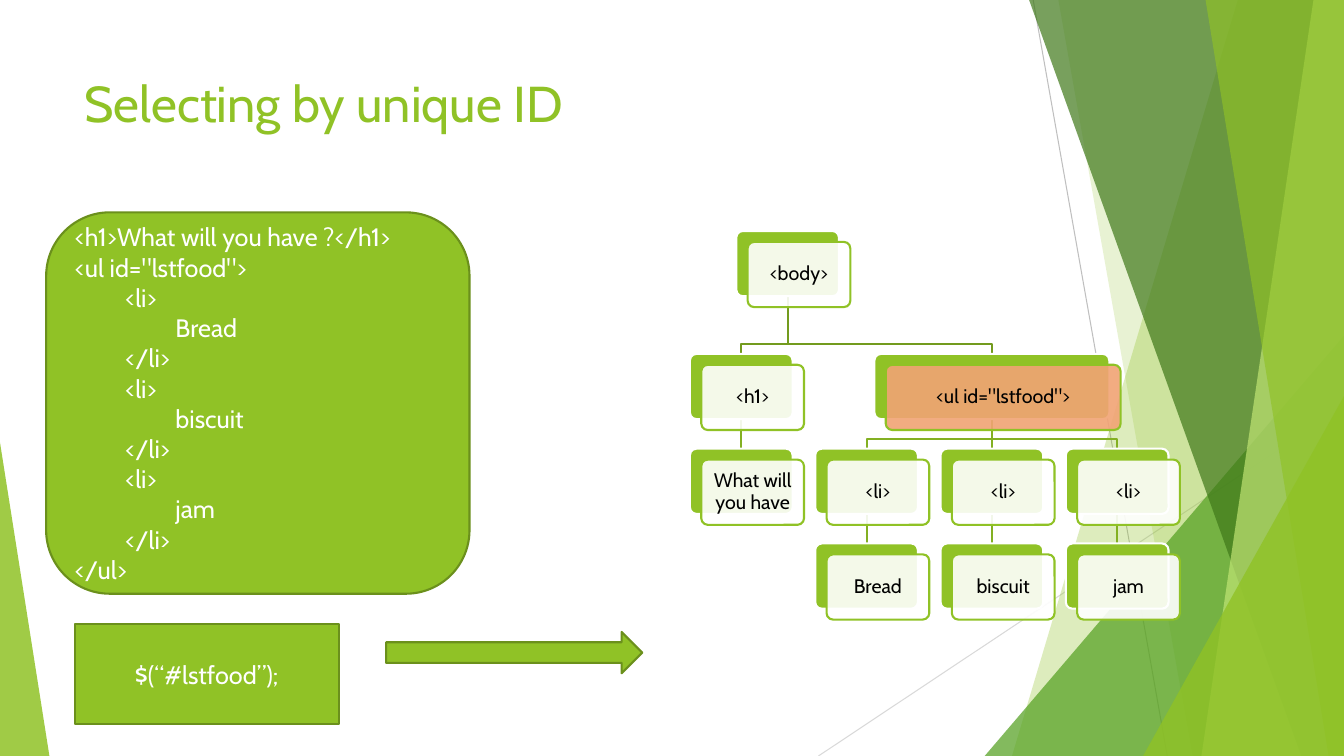
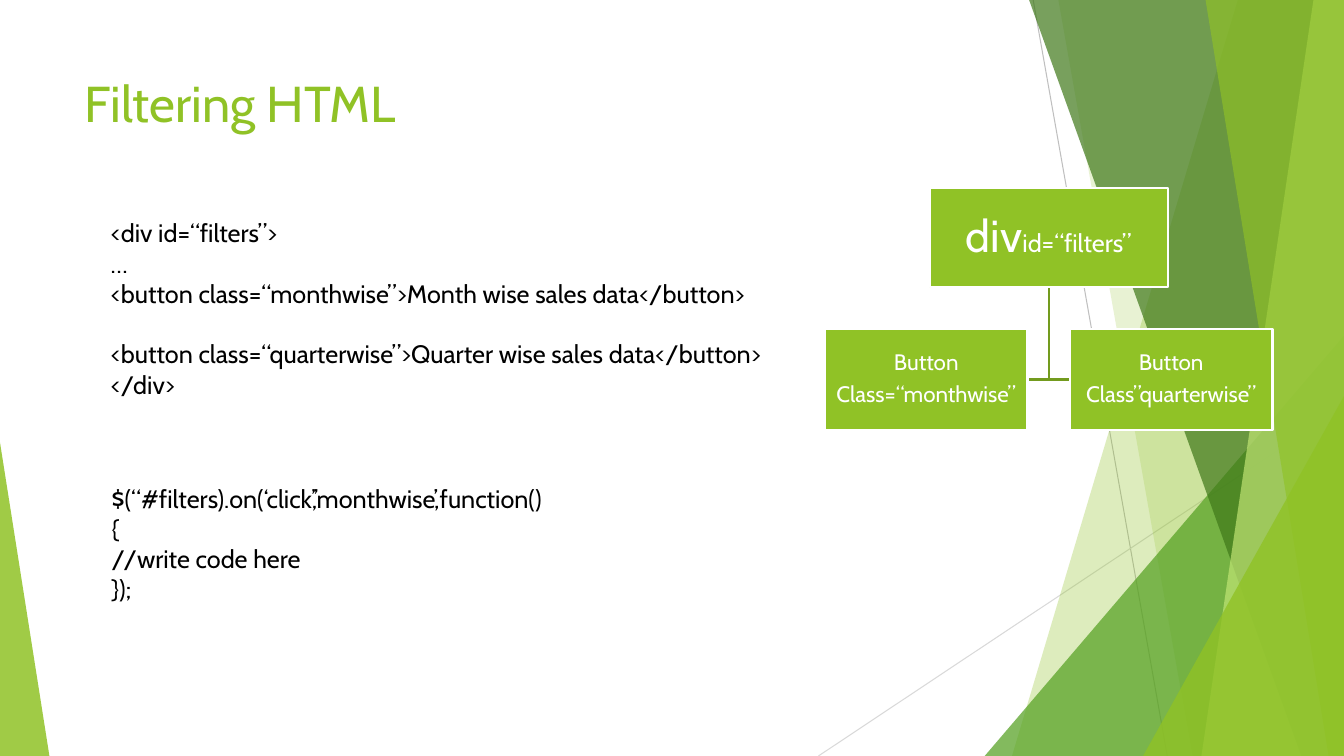
from lxml import etree
from pptx import Presentation
from pptx.dml.color import RGBColor
from pptx.enum.shapes import MSO_CONNECTOR, MSO_SHAPE
from pptx.enum.text import MSO_ANCHOR, PP_ALIGN
from pptx.oxml.ns import qn
from pptx.util import Pt

RECTANGLE, ROUNDED = MSO_SHAPE.RECTANGLE, MSO_SHAPE.ROUNDED_RECTANGLE
TRIANGLE, ARROW = MSO_SHAPE.ISOSCELES_TRIANGLE, MSO_SHAPE.RIGHT_ARROW
STRAIGHT = MSO_CONNECTOR.STRAIGHT
LEFT, CENTER = PP_ALIGN.LEFT, PP_ALIGN.CENTER
TOP, MIDDLE = MSO_ANCHOR.TOP, MSO_ANCHOR.MIDDLE

WIDTH, HEIGHT = 960, 540
FONT = "Cabin"
GREEN, DARK_GREEN, LINK, LOW_LINK = "90C226", "6B901C", "739B1E", "83B022"
WHITE, BLACK, ORANGE = "FFFFFF", "000000", "F1A374"
LINE_WIDTH, INDENT, CODE_LINE = 1.5, 36, 21.6

HAIRLINES = [((738, 0), (833.8, HEIGHT), "BFBFBF"), ((WIDTH, 290.2), (584.6, HEIGHT), "D9D9D9")]
SHARDS = [
    ("band", (884.2, 722.9), GREEN, 30),
    ("band", (756, 851.8), GREEN, 20),
    ("right", (703.4, 239.8), "54A021", 72),
    ("band", (735.1, 929.5), "3F7819", 70),
    ("band", (938.2, 858.2), "C0E474", 70),
    ("band", (861.1, 949), GREEN, 65),
    ("right", (816.5, 283), GREEN, 80),
    ("left", (35.3, 316.1), GREEN, 85),
]

FOOD_CODE = [
    (0, "<h1>What will you have ?</h1>"), (0, '<ul id="lstfood">'),
    (1, "<li>"), (2, "Bread"), (1, "</li>"),
    (1, "<li>"), (2, "biscuit"), (1, "</li>"),
    (1, "<li>"), (2, "jam"), (1, "</li>"), (0, "</ul>"),
]
BUTTON_CODE = [
    "<div id=“filters”>", "…",
    "<button class=“monthwise”>Month wise sales data</button>",
    "<button class=“quarterwise”>Quarter wise sales data</button>", "</div>",
]
CLICK_CODE = ["$(“#filters).on(‘click’,’monthwise’,function()", "{", "//write code here", "});"]

NODE_WIDTH, NODE_HEIGHT, WIDE_NODE = 73.4, 46.6, 167.8
COLUMN_STEP, ROW_STEP, FIRST_ROW = 89.5, 67.7, 87.8
FRONT_SHIFT, ELBOW_RISE = (8.1, 7.8), 6.8
FOOD_NODES = [
    ("<body>", 0.37, 0, None),
    ("<h1>", 0, 1, 0),
    ("What will you have", 0, 2, 1),
    ('<ul id="lstfood">', 2, 1, 0),
    ("<li>", 1, 2, 3), ("Bread", 1, 3, 4),
    ("<li>", 2, 2, 3), ("biscuit", 2, 3, 6),
    ("<li>", 3, 2, 3), ("jam", 3, 3, 8),
]


def apply(target, values):
    """Set each named attribute of the target."""
    for name, value in values.items():
        setattr(target, name, value)


def paint(fill, colour, opacity=100):
    """Give a fill a solid hex colour with an opacity in percent."""
    fill.solid()
    fill.fore_color.rgb = RGBColor.from_string(colour)
    if opacity < 100:
        colour_node = fill._xPr.find(qn("a:solidFill"))[0]
        etree.SubElement(colour_node, qn("a:alpha"), val=str(opacity * 1000))


def outline(shape, colour, width=LINE_WIDTH):
    """Give a shape or connector an outline."""
    paint(shape.line.fill, colour)
    shape.line.width = Pt(width)


def draw_shape(slide, kind, box, colour, border=None, opacity=100, adjust=None):
    """Add a flat preset shape in a box of points."""
    shape = slide.shapes.add_shape(kind, *map(Pt, box))
    shape.shadow.inherit = False
    paint(shape.fill, colour, opacity)
    if border:
        outline(shape, border)
    else:
        shape.line.fill.background()
    if adjust is not None:
        shape.adjustments[0] = adjust
    return shape


def draw_line(slide, start, end, colour, width=LINE_WIDTH):
    """Add a straight line between two points."""
    line = slide.shapes.add_connector(STRAIGHT, *map(Pt, (*start, *end)))
    outline(line, colour, width)
    etree.SubElement(line._element.spPr, qn("a:effectLst"))


def draw_path(slide, points, close=False):
    """Add a freeform through a list of points."""
    corners = [(Pt(x), Pt(y)) for x, y in points]
    builder = slide.shapes.build_freeform(*corners[0], scale=1.0)
    builder.add_line_segments(corners[1:], close=close)
    path = builder.convert_to_shape()
    path.shadow.inherit = False
    return path


def draw_bent_line(slide, points, colour):
    """Add an open bent line."""
    path = draw_path(slide, points)
    path.fill.background()
    outline(path, colour)


def write(shape, lines, size=18, colour=BLACK, align=LEFT, anchor=TOP, inset=None, spacing=None, gaps=None):
    """Fill a shape with lines, each a string or a list of (text, size) spans."""
    frame = shape.text_frame
    apply(frame, {"word_wrap": True, "vertical_anchor": anchor})
    if inset is not None:
        sides = ("left", "right", "top", "bottom")
        apply(frame, {f"margin_{side}": Pt(inset) for side in sides})
    for index, line in enumerate(lines):
        para = frame.paragraphs[0] if index == 0 else frame.add_paragraph()
        apply(para, {"alignment": align, "line_spacing": spacing})
        if gaps and index in gaps:
            para.space_before = Pt(gaps[index])
        for text, span_size in [(line, size)] if isinstance(line, str) else line:
            span = para.add_run()
            span.text = text
            apply(span.font, {"name": FONT, "size": Pt(span_size)})
            paint(span.font.fill, colour)


def add_text(slide, box, lines, **style):
    """Add a text box in a box of points."""
    write(slide.shapes.add_textbox(*map(Pt, box)), lines, **style)


def add_backdrop(slide):
    """Draw the hairlines and translucent green shards."""
    for start, end, colour in HAIRLINES:
        draw_line(slide, start, end, colour, 0.75)
    for kind, (x, y), colour, opacity in SHARDS:
        if kind == "band":
            points = [(x, 0), (WIDTH, 0), (WIDTH, HEIGHT), (y, HEIGHT)]
            band = draw_path(slide, points, close=True)
            paint(band.fill, colour, opacity)
            band.line.fill.background()
        else:
            left, width = (x, WIDTH - x) if kind == "right" else (0, x)
            box = (left, y, width, HEIGHT - y)
            draw_shape(slide, TRIANGLE, box, colour, opacity=opacity, adjust=int(kind == "right"))


def start_slide(deck, title):
    """Add a blank slide with the backdrop and a title."""
    slide = deck.slides.add_slide(deck.slide_layouts[6])
    add_backdrop(slide)
    add_text(slide, (53.3, 48, 676.8, 103.7), [title], size=36, colour=GREEN)
    return slide


def add_food_code(slide, box):
    """Draw the rounded panel with indented markup."""
    panel = draw_shape(slide, ROUNDED, box, GREEN, DARK_GREEN)
    write(panel, [text for _, text in FOOD_CODE], colour=WHITE, anchor=MIDDLE)
    for para, (level, _) in zip(panel.text_frame.paragraphs, FOOD_CODE):
        para._p.get_or_add_pPr().set("marL", str(Pt(level * INDENT)))


def add_food_tree(slide, left, top):
    """Draw the document tree from its top left corner."""
    boxes = []
    for label, column, level, _ in FOOD_NODES:
        width = WIDE_NODE if label.startswith("<ul") else NODE_WIDTH
        centre = left + NODE_WIDTH / 2 + column * COLUMN_STEP
        row = top + (FIRST_ROW + (level - 1) * ROW_STEP if level else 0)
        boxes.append((centre - width / 2, row, width, NODE_HEIGHT))
    for (_, _, level, parent), (x, y, width, _) in zip(FOOD_NODES, boxes):
        if parent is None:
            continue
        parent_x, parent_y, parent_width, parent_height = boxes[parent]
        start = (parent_x + parent_width / 2, parent_y + parent_height)
        end = (x + width / 2, y)
        colour = LINK if level == 1 else LOW_LINK
        if abs(start[0] - end[0]) < 1:
            draw_line(slide, start, end, colour)
        else:
            elbow = y - ELBOW_RISE
            draw_bent_line(slide, [start, (start[0], elbow), (end[0], elbow), end], colour)
    for (label, *_), (x, y, width, height) in zip(FOOD_NODES, boxes):
        draw_shape(slide, ROUNDED, (x, y, width, height), GREEN, WHITE, adjust=0.1)
        front_box = (x + FRONT_SHIFT[0], y + FRONT_SHIFT[1], width, height)
        colour = ORANGE if width == WIDE_NODE else WHITE
        front = draw_shape(slide, ROUNDED, front_box, colour, GREEN, 90, 0.1)
        write(front, [label], size=14, align=CENTER, anchor=MIDDLE, inset=4.2, spacing=0.9)


def add_filter_tree(slide, left, top):
    """Draw the div box with its two button boxes."""
    width, height, gap, drop = 144.8, 71.6, 30.2, 100.8
    root_width, root_height = 170, 70.6
    middle = left + width + gap / 2
    link_y = top + drop + height / 2
    for side in (1, -1):
        points = [(middle, top + root_height), (middle, link_y), (middle + side * gap / 2, link_y)]
        draw_bent_line(slide, points, LINK)
    nodes = [
        ((middle - root_width / 2, top, root_width, root_height), [[("div", 32), ("id=“filters”", 18)]]),
        ((left, top + drop, width, height), ["Button", "Class=“monthwise”"]),
        ((left + width + gap, top + drop, width, height), ["Button", "Class”quarterwise”"]),
    ]
    for box, lines in nodes:
        node = draw_shape(slide, RECTANGLE, box, GREEN, WHITE)
        write(node, lines, size=16, colour=WHITE, align=CENTER, anchor=MIDDLE,
              inset=1, spacing=0.9, gaps={1: 5.6})


def build_selecting(deck):
    """Build the slide on selecting by ID."""
    slide = start_slide(deck, "Selecting by unique ID")
    add_food_tree(slide, 492.8, 165)
    add_food_code(slide, (33, 151.7, 302.4, 272.4))
    selector = draw_shape(slide, RECTANGLE, (53.3, 445.5, 188.6, 72), GREEN, DARK_GREEN)
    write(selector, ["$(“#lstfood”);"], colour=WHITE, align=CENTER, anchor=MIDDLE)
    draw_shape(slide, ARROW, (275.8, 451.4, 183, 29.5), GREEN, DARK_GREEN)


def build_filtering(deck):
    """Build the slide on filtering."""
    slide = start_slide(deck, "Filtering HTML")
    add_filter_tree(slide, 589.2, 134.5)
    add_text(slide, (72, 152, 532, 138.2), BUTTON_CODE, gaps={3: CODE_LINE})
    add_text(slide, (72.7, 341.5, 385.2, 94.3), CLICK_CODE)


def main():
    """Build and save the deck."""
    deck = Presentation()
    apply(deck, {"slide_width": Pt(WIDTH), "slide_height": Pt(HEIGHT)})
    build_selecting(deck)
    build_filtering(deck)
    deck.save("out.pptx")


if __name__ == "__main__":
    main()
